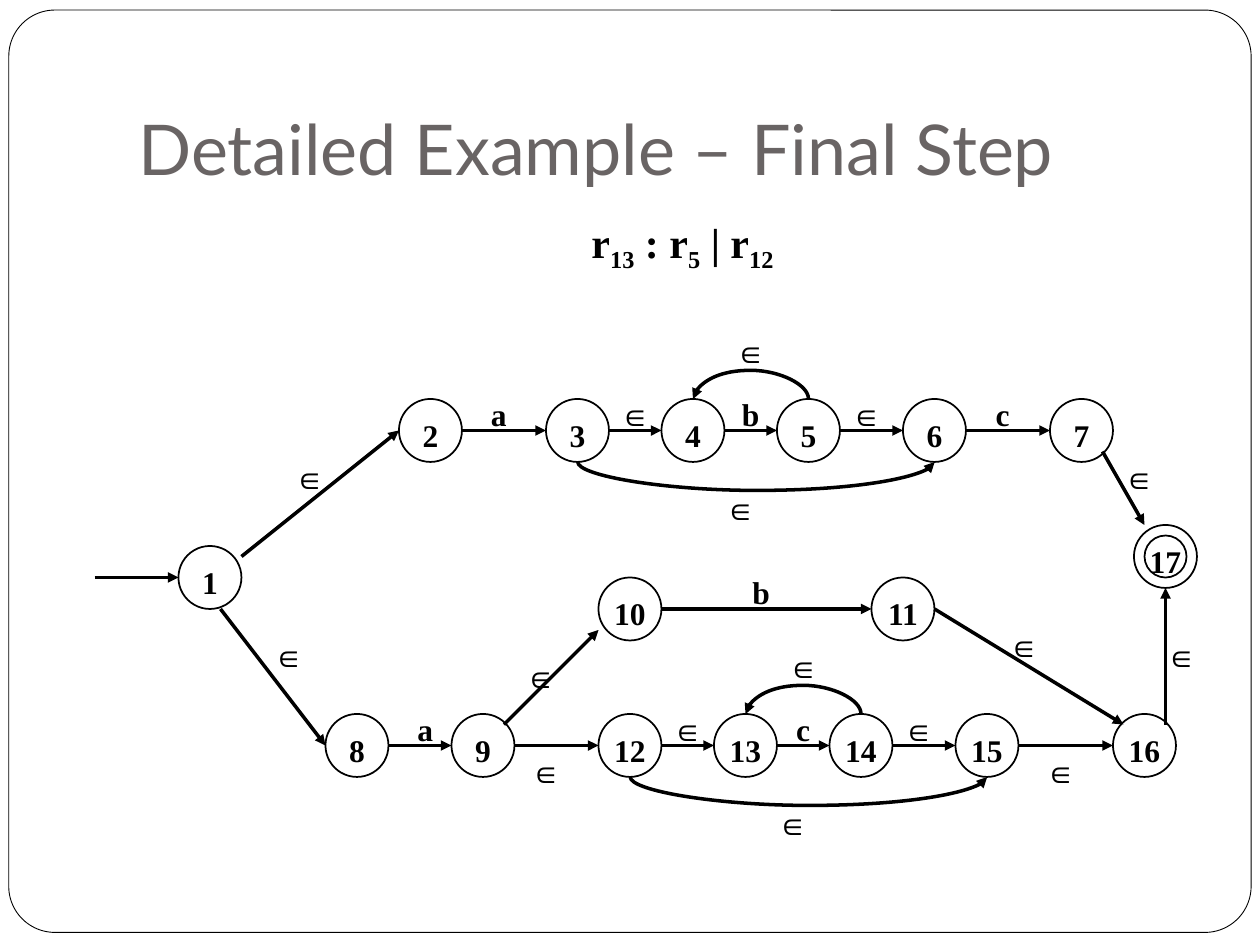
from lxml.etree import SubElement
from pptx import Presentation
from pptx.dml.color import RGBColor
from pptx.enum.shapes import MSO_CONNECTOR, MSO_SHAPE
from pptx.enum.text import MSO_ANCHOR, MSO_AUTO_SIZE, PP_ALIGN
from pptx.oxml.ns import qn
from pptx.util import Inches, Pt

BLACK = RGBColor(0x00, 0x00, 0x00)
WHITE = RGBColor(0xFF, 0xFF, 0xFF)
GRAY = RGBColor(0x69, 0x64, 0x64)

prs = Presentation()
prs.slide_width = Inches(10)
prs.slide_height = Inches(7.5)
U = prs.slide_width // 120
SIZE = 6
HALF = SIZE // 2
THIN = 1588
s = prs.slides.add_slide(prs.slide_layouts[6])


def add_text(text, x, y, w, h=4.8, size=18, font="Times New Roman", color=BLACK,
             bold=True, align=PP_ALIGN.CENTER, anchor=MSO_ANCHOR.TOP,
             fit=MSO_AUTO_SIZE.SHAPE_TO_FIT_TEXT):
    sp = s.shapes.add_textbox(int(x * U), int(y * U), int(w * U), int(h * U))
    tf = sp.text_frame
    tf.word_wrap = True
    tf.auto_size = fit
    tf.vertical_anchor = anchor
    p = tf.paragraphs[0]
    p.alignment = align
    for i, part in enumerate(text.split("_")):
        r = p.add_run()
        r.text = part
        r.font.size = Pt(size)
        r.font.name = font
        r.font.bold = bold
        r.font.color.rgb = color
        if i % 2:
            r.font._element.set("baseline", "-25000")


def add_arrow(x1, y1, x2, y2, kind=MSO_CONNECTOR.STRAIGHT):
    c = s.shapes.add_connector(kind, int(x1), int(y1), int(x2), int(y2))
    c.line.color.rgb = BLACK
    c.line.width = Pt(2)
    SubElement(c.line._get_or_add_ln(), qn("a:tailEnd"), type="triangle")
    SubElement(c._element.spPr, qn("a:effectLst"))
    return c


frame = s.shapes.add_shape(MSO_SHAPE.ROUNDED_RECTANGLE, Inches(0.07), Inches(0.08),
                           Inches(9.86), Inches(7.32))
frame.adjustments[0] = 0.05
frame.shadow.inherit = False
frame.fill.solid()
frame.fill.fore_color.rgb = WHITE
frame.line.color.rgb = BLACK
frame.line.width = Pt(0.5)

add_text("Detailed Example – Final Step", 12, 3.6, 102, 15, size=40, font="Lato",
         color=GRAY, bold=False, align=PP_ALIGN.LEFT, anchor=MSO_ANCHOR.BOTTOM,
         fit=MSO_AUTO_SIZE.NONE)
add_text("r_13_ : r_5_ | r_12", 27, 20, 76, 6, size=24)

rows = [
    (38, {2: 38, 3: 52, 4: 63, 5: 74, 6: 86, 7: 100}),
    (52, {1: 17}),
    (55, {10: 57, 11: 83}),
    (68, {8: 31, 9: 43, 12: 57, 13: 68, 14: 79, 15: 91, 16: 106}),
    (50, {17: 108}),
]
states = {n: (x, y) for y, row in rows for n, x in row.items()}

circles = [(x, y, SIZE) for x, y in states.values()]
circles.append((states[17][0] + 1, states[17][1] + 1, SIZE - 2))
for x, y, d in circles:
    sp = s.shapes.add_shape(MSO_SHAPE.OVAL, x * U, y * U, d * U, d * U)
    sp.shadow.inherit = False
    sp.fill.background()
    sp.line.color.rgb = BLACK
    sp.line.width = Pt(1)

arrows = [(9, 55, 17, 55), (23, 53, 38, 41), (21, 58, 31, 71), (48, 69, 57, 60),
          (89, 58, 107, 69), (105, 43, 109, 50), (111, 69, 111, 56)]
for y, row in rows:
    xs = list(row.values())
    arrows += [(a + SIZE, y + HALF, b, y + HALF) for a, b in zip(xs, xs[1:])]
for ends in arrows:
    add_arrow(*[v * U for v in ends])

for start, end in [(3, 6), (5, 4), (12, 15), (14, 13)]:
    x1, x2 = [(states[n][0] + HALF) * U for n in (start, end)]
    forward = x2 > x1
    y = (states[start][1] + (SIZE if forward else 0)) * U
    mid = (x1 + x2) / 2
    reach = (x2 - x1) / 2
    c = add_arrow(mid + THIN, y - reach, mid, y + reach, MSO_CONNECTOR.CURVE)
    c._element.spPr.find(qn("a:xfrm")).set("rot", "16200000")
    geom = c._element.spPr.find(qn("a:prstGeom"))
    bend = 14400000 if forward else -14400000
    SubElement(geom.find(qn("a:avLst")), qn("a:gd"), name="adj1", fmla=f"val {bend}")

labels = {
    "a": [(44, 37), (37, 67)],
    "b": [(68, 37), (69, 54)],
    "c": [(92, 37), (73, 67)],
    "∈": [(57, 37), (79, 37), (67, 46), (68, 31), (62, 67), (84, 67), (72, 76),
          (73, 61), (94, 59), (48, 62), (105, 43), (109, 60), (24, 60), (26, 43),
          (97.5, 71), (48.5, 71)],
}
for symbol, places in labels.items():
    for x, y in places:
        add_text(symbol, x, y, 7)

for n, (x, y) in states.items():
    add_text(str(n), x, y + 1, SIZE)

prs.save("out.pptx")
